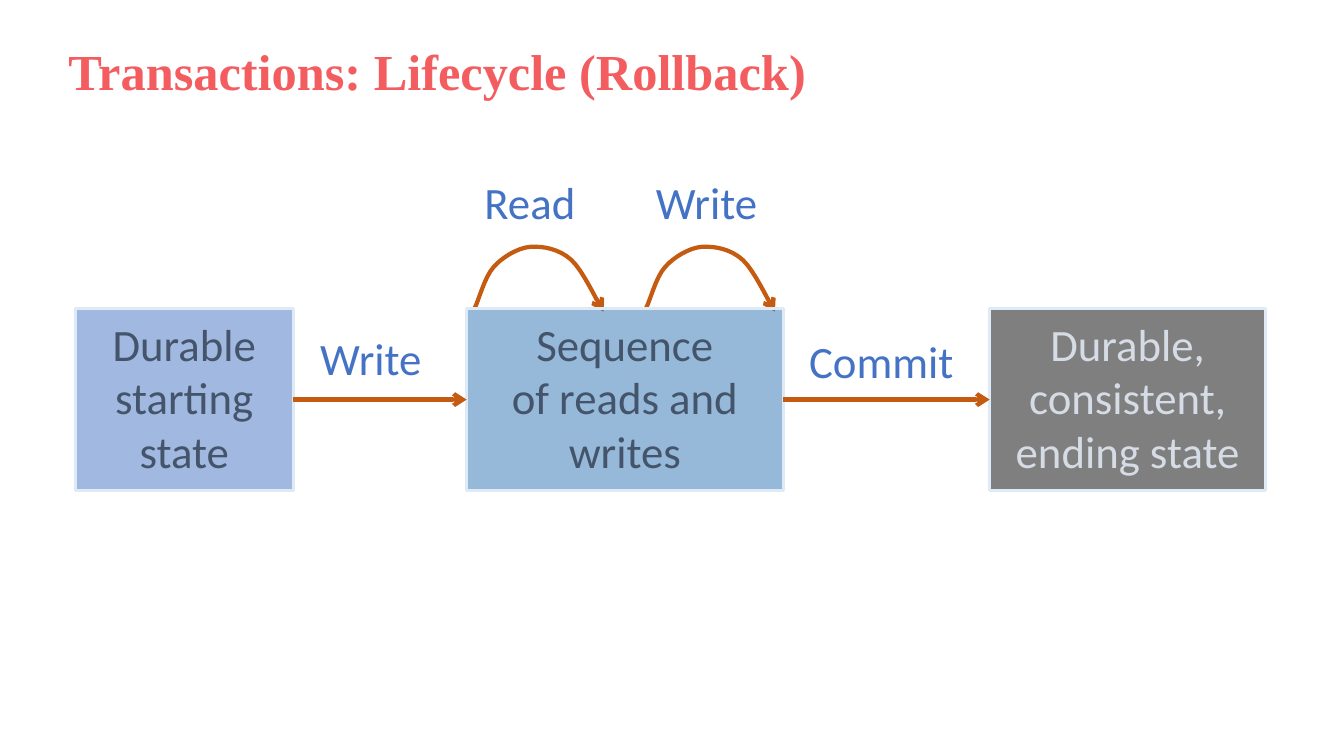
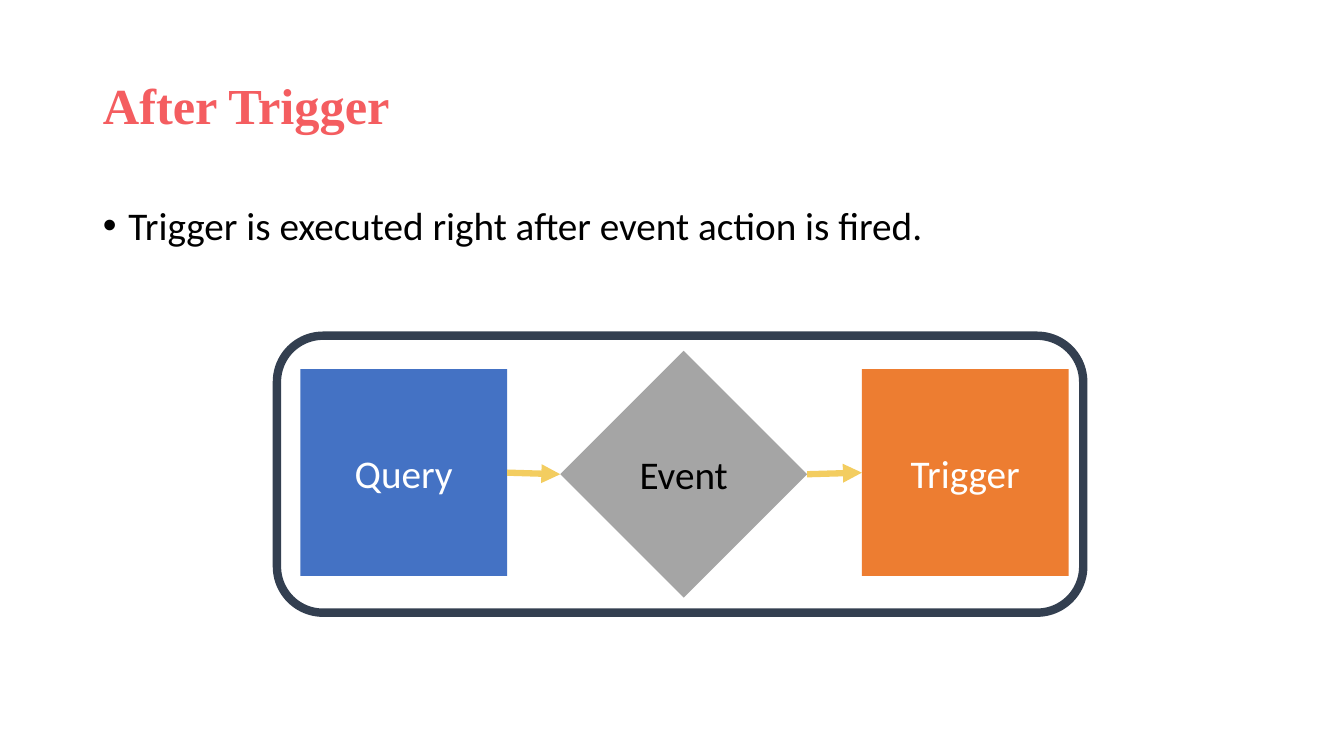
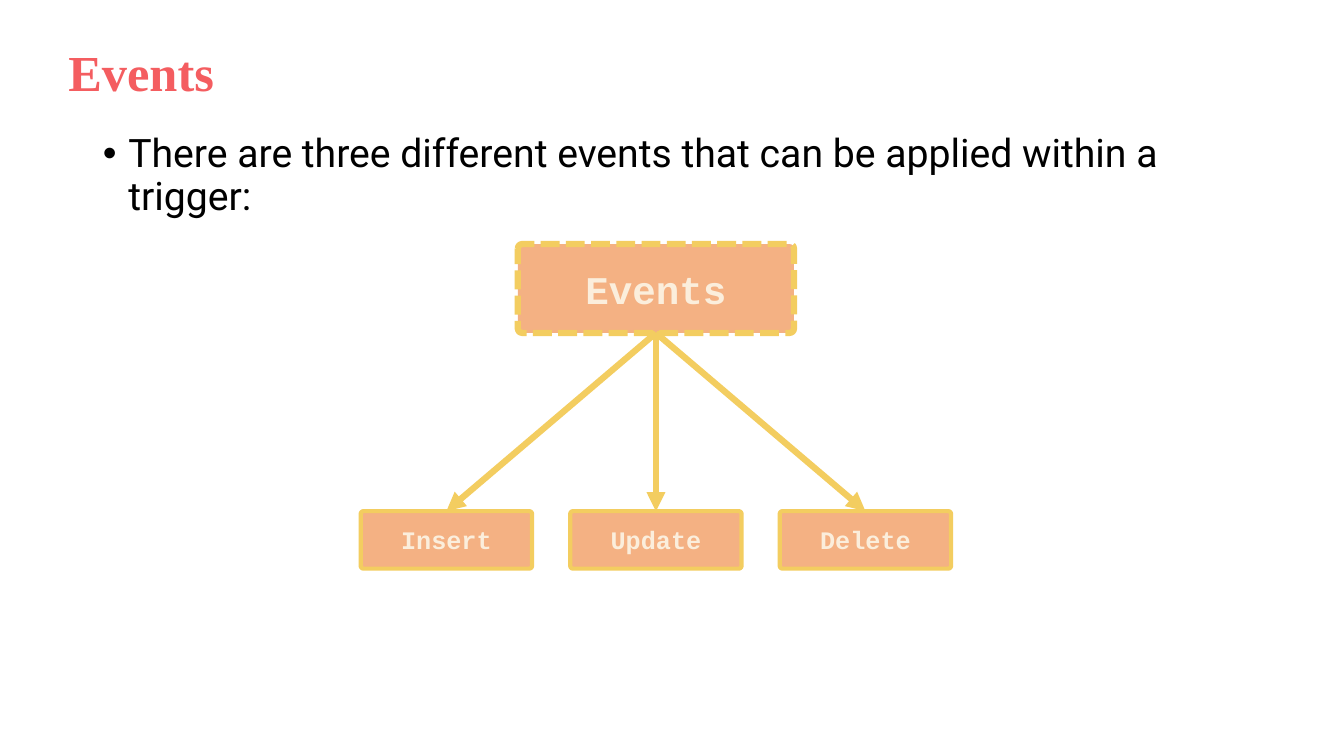
from typing import NamedTuple

from lxml.etree import SubElement
from pptx import Presentation
from pptx.dml.color import RGBColor
from pptx.enum.dml import MSO_LINE
from pptx.enum.shapes import MSO_CONNECTOR, MSO_SHAPE
from pptx.enum.text import MSO_ANCHOR, MSO_AUTO_SIZE, PP_ALIGN
from pptx.oxml.ns import qn
from pptx.util import Cm, Pt

CORAL = RGBColor(0xF4, 0x5D, 0x60)
BLUE = RGBColor(0x44, 0x72, 0xC4)
DEEP_BLUE = RGBColor(0x2E, 0x75, 0xB6)
PALE_BLUE = RGBColor(0xDE, 0xEB, 0xF7)
SLATE = RGBColor(0x44, 0x54, 0x6A)
MIST = RGBColor(0xD6, 0xDC, 0xE5)
NAVY = RGBColor(0x33, 0x3F, 0x50)
RUST = RGBColor(0xC5, 0x5A, 0x11)
ORANGE = RGBColor(0xED, 0x7D, 0x31)
PEACH = RGBColor(0xF4, 0xB1, 0x83)
CREAM = RGBColor(0xFB, 0xEE, 0xDC)
GOLD = RGBColor(0xF3, 0xCD, 0x60)
GREY = RGBColor(0xA5, 0xA5, 0xA5)
BLACK = RGBColor(0, 0, 0)
WHITE = RGBColor(0xFF, 0xFF, 0xFF)

TITLE_FONT = {"name": "Times New Roman", "size": Pt(36), "bold": True}
STATE_FONT = {"name": "Calibri", "size": Pt(32)}
STEP_FONT = {"name": "Calibri", "size": Pt(28)}
LIST_FONT = {"name": "Roboto", "size": Pt(28)}
ROOT_FONT = {"name": "Courier New", "size": Pt(28), "bold": True}
LEAF_FONT = {"name": "Courier New", "size": Pt(18), "bold": True}
STATE_FRAME = {
    "vertical_anchor": MSO_ANCHOR.TOP,
    "margin_left": Cm(0.25), "margin_right": Cm(0.25),
    "margin_top": Cm(0.2), "margin_bottom": Cm(0.3),
}
TOP, LEFT, BOTTOM, RIGHT = range(4)
LOOP_CURVE = [
    (0, 0), (0.1, -0.18), (0.25, -0.79), (0.48, -1.04), (0.71, -1.3),
    (1.09, -1.52), (1.4, -1.55), (1.73, -1.57), (2.13, -1.5),
    (2.44, -1.22), (2.74, -0.94), (3.07, -0.2), (3.25, 0.08),
]


class Box(NamedTuple):
    """Hold a rectangle in centimetres."""
    left: float
    top: float
    width: float
    height: float

    def inner(self, left, top, width, height):
        """Return a box placed relative to this one."""
        return Box(self.left + left, self.top + top, width, height)

    def lengths(self):
        """Return the four sides as slide lengths."""
        return [Cm(side) for side in self]


def set_all(target, formats):
    """Set every attribute in a dict of format values."""
    for key, setting in formats.items():
        setattr(target, key, setting)


def write(frame, text, font, color, paragraph_formats, frame_formats):
    """Fill a text frame and format all its paragraphs."""
    frame.text = text
    set_all(frame, {"auto_size": MSO_AUTO_SIZE.NONE, **frame_formats})
    for paragraph in frame.paragraphs:
        set_all(paragraph, paragraph_formats)
        for run in paragraph.runs:
            set_all(run.font, font)
            run.font.color.rgb = color


def set_line(part, color, width):
    """Give a shape or connector a solid line."""
    part.line.color.rgb = color
    part.line.width = Pt(width)


def add_head(part, head):
    """Put an arrowhead at the end of a line."""
    SubElement(part.element.spPr.get_or_add_ln(), qn("a:tailEnd"), type=head)


def add_node(slide, kind, box, fill=None, line=None, opacity=None, corner=None):
    """Draw a preset shape; line is a colour and a width."""
    node = slide.shapes.add_shape(kind, *box.lengths())
    node.shadow.inherit = False
    if fill is None:
        node.fill.background()
    else:
        node.fill.solid()
        node.fill.fore_color.rgb = fill
    if opacity is not None:
        paint = node.element.spPr.find(qn("a:solidFill"))[0]
        SubElement(paint, qn("a:alpha"), val=str(opacity * 1000))
    if line is None:
        node.line.fill.background()
    else:
        set_line(node, *line)
    if corner is not None:
        node.adjustments[0] = corner
    return node


def label_node(node, text, font, color, frame_formats=None):
    """Write centred text into a shape."""
    frame_formats = frame_formats or {"vertical_anchor": MSO_ANCHOR.MIDDLE}
    write(node.text_frame, text, font, color, {"alignment": PP_ALIGN.CENTER},
          {"word_wrap": True, **frame_formats})


def link(slide, source, source_side, target, target_side, line, head):
    """Join two shapes with an arrow."""
    arrow = slide.shapes.add_connector(MSO_CONNECTOR.STRAIGHT, 0, 0, 0, 0)
    arrow.begin_connect(source, source_side)
    arrow.end_connect(target, target_side)
    set_line(arrow, *line)
    add_head(arrow, head)
    SubElement(arrow.element.spPr, qn("a:effectLst"))


def add_caption(slide, box, text):
    """Place a short arrow caption."""
    caption = slide.shapes.add_textbox(*box.lengths())
    write(caption.text_frame, text, STATE_FONT, BLUE, {}, {"word_wrap": False})


def curve_points(controls, steps=8):
    """Sample a chain of cubic curves after its first point."""
    for first in range(0, len(controls) - 1, 3):
        segment = controls[first:first + 4]
        for step in range(1, steps + 1):
            t = step / steps
            weights = ((1 - t) ** 3, 3 * t * (1 - t) ** 2, 3 * t ** 2 * (1 - t), t ** 3)
            yield tuple(sum(w * point[axis] for w, point in zip(weights, segment))
                        for axis in (0, 1))


def add_loop(slide, left, top):
    """Draw a looping arrow that starts at the given point."""
    outline = slide.shapes.build_freeform(Cm(left), Cm(top))
    outline.add_line_segments(
        [(Cm(left + x), Cm(top + y)) for x, y in curve_points(LOOP_CURVE)], close=False)
    loop = outline.convert_to_shape()
    loop.shadow.inherit = False
    loop.fill.background()
    set_line(loop, RUST, 3)
    add_head(loop, "arrow")


def add_titled_slide(deck, layout, title, box):
    """Add a slide with the shared title style."""
    slide = deck.slides.add_slide(deck.slide_layouts[layout])
    heading = slide.shapes.title
    set_all(heading, dict(zip(("left", "top", "width", "height"), box.lengths())))
    write(heading.text_frame, title, TITLE_FONT, CORAL,
          {"alignment": PP_ALIGN.LEFT, "line_spacing": 0.9},
          {"vertical_anchor": MSO_ANCHOR.MIDDLE})
    return slide


def fill_body(slide, box, text, font):
    """Write the bullet into the body placeholder."""
    body = slide.placeholders[1]
    set_all(body, dict(zip(("left", "top", "width", "height"), box.lengths())))
    write(body.text_frame, text, font, BLACK,
          {"line_spacing": 0.9, "space_before": Pt(10)}, {})
    for paragraph in body.text_frame.paragraphs:
        indent = paragraph._p.get_or_add_pPr()
        indent.set("marL", str(Cm(0.64)))
        indent.set("indent", str(Cm(-0.64)))


def draw_lifecycle(slide, box):
    """Draw the three states, their transitions and the loops."""
    row_top, row_height = 3.48, 4.6
    for text, left, top, width in (
            ("Read", 10.06, 0, 2.82), ("Write", 14.38, 0, 3.1),
            ("Write", 5.92, 3.91, 3.1), ("Commit", 18.24, 3.99, 4.19)):
        add_caption(slide, box.inner(left, top, width, 1.62), text)
    for left in (10.06, 14.38):
        add_loop(slide, box.left + left, box.top + row_top)
    states = []
    for text, left, width, fill, color in (
            ("Durable starting state", 0, 5.49, BLUE, SLATE),
            ("Sequence\vof reads and writes", 9.86, 7.98, DEEP_BLUE, SLATE),
            ("Durable,\nconsistent,\nending state", 23.04, 6.96, BLACK, MIST)):
        state = add_node(slide, MSO_SHAPE.RECTANGLE,
                         box.inner(left, row_top, width, row_height),
                         fill, (PALE_BLUE, 2), opacity=50)
        label_node(state, text, STATE_FONT, color, STATE_FRAME)
        states.append(state)
    for source, target in zip(states, states[1:]):
        link(slide, source, RIGHT, target, LEFT, (RUST, 3), "arrow")


def draw_trigger_flow(slide, box):
    """Draw the framed flow from query to trigger."""
    steps = []
    for text, kind, left, size, lift, fill, color in (
            ("Query", MSO_SHAPE.RECTANGLE, 0.59, 5.21, 0.04, BLUE, WHITE),
            ("Event", MSO_SHAPE.DIAMOND, 7.14, 6.22, 0, GREY, BLACK),
            ("Trigger", MSO_SHAPE.RECTANGLE, 14.74, 5.21, 0.04, ORANGE, WHITE)):
        top = (box.height - size) / 2 - lift
        step = add_node(slide, kind, box.inner(left, top, size, size), fill)
        label_node(step, text, STEP_FONT, color)
        steps.append(step)
    for source, target in zip(steps, steps[1:]):
        link(slide, source, RIGHT, target, LEFT, (GOLD, 4.5), "triangle")
    add_node(slide, MSO_SHAPE.ROUNDED_RECTANGLE, box, line=(NAVY, 6))


def draw_event_tree(slide, box):
    """Draw the root event above its evenly spaced kinds."""
    root_width, leaf_width, leaf_height = 6.96, 4.32, 1.45
    kinds = ("Insert", "Update", "Delete")
    root = add_node(slide, MSO_SHAPE.ROUNDED_RECTANGLE,
                    box.inner((box.width - root_width) / 2, 0, root_width, 2.24),
                    PEACH, (GOLD, 4.5), corner=0.05)
    root.line.dash_style = MSO_LINE.SQUARE_DOT
    label_node(root, "Events", ROOT_FONT, CREAM)
    pitch = (box.width - leaf_width) / (len(kinds) - 1)
    for index, kind in enumerate(kinds):
        leaf = add_node(slide, MSO_SHAPE.ROUNDED_RECTANGLE,
                        box.inner(index * pitch, box.height - leaf_height,
                                  leaf_width, leaf_height),
                        PEACH, (GOLD, 3), corner=0.05)
        label_node(leaf, kind, LEAF_FONT, CREAM)
        link(slide, root, BOTTOM, leaf, TOP, (GOLD, 4.5), "triangle")


def main():
    """Build the three slides and save them."""
    deck = Presentation()
    set_all(deck, {"slide_width": Cm(33.87), "slide_height": Cm(19.05)})

    lifecycle = add_titled_slide(deck, 5, "Transactions: Lifecycle (Rollback)",
                                 Box(1.47, 0.76, 29.21, 2.24))
    draw_lifecycle(lifecycle, Box(1.9, 4.29, 30, 8.08))

    after_trigger = add_titled_slide(deck, 1, "After Trigger", Box(2.34, 0.89, 29.21, 3.68))
    fill_body(after_trigger, Box(2.34, 5.08, 29.21, 12.09),
              "Trigger is executed right after event action is fired.", STEP_FONT)
    draw_trigger_flow(after_trigger, Box(6.98, 8.46, 20.32, 6.98))

    events = add_titled_slide(deck, 1, "Events", Box(1.47, 0.97, 29.21, 1.85))
    fill_body(events, Box(2.34, 3.25, 29.21, 12.09),
              "There are three different events that can be applied within a trigger:",
              LIST_FONT)
    draw_event_tree(events, Box(9.09, 6.15, 14.88, 8.18))

    deck.save("out.pptx")


if __name__ == "__main__":
    main()
